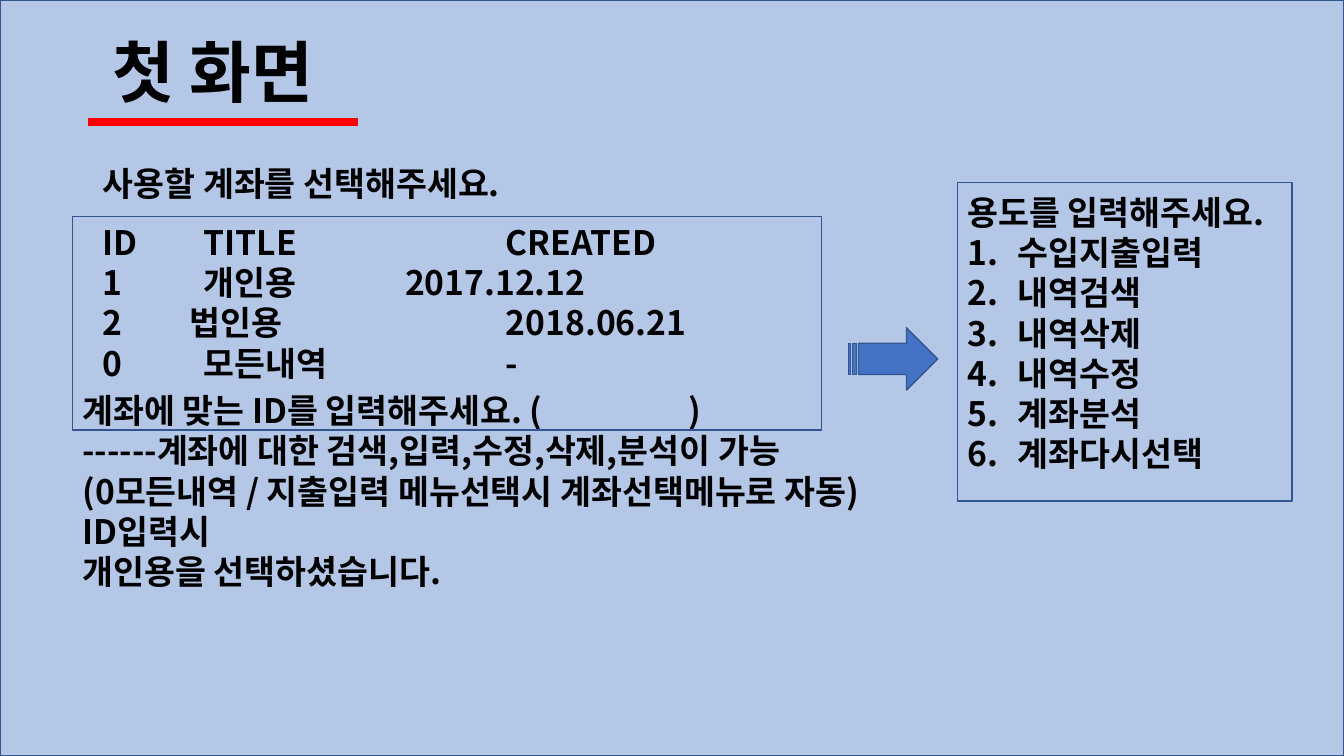
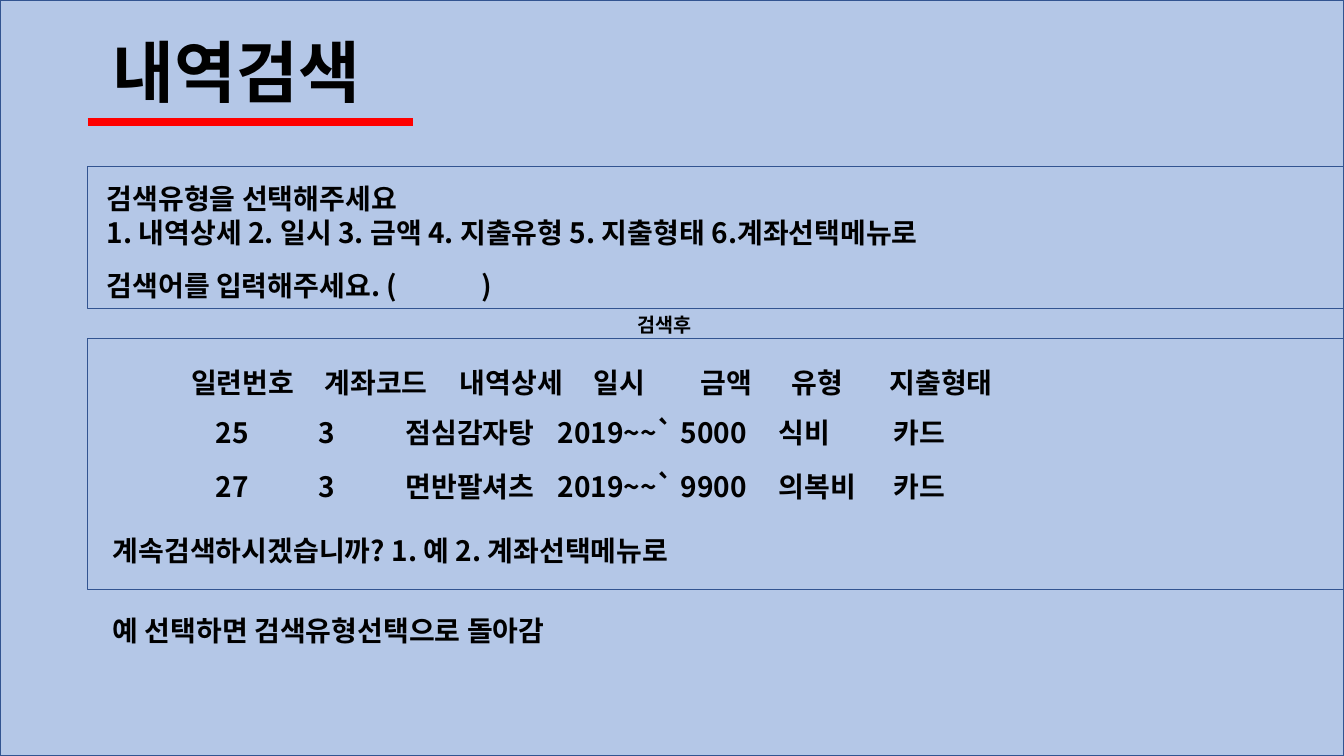
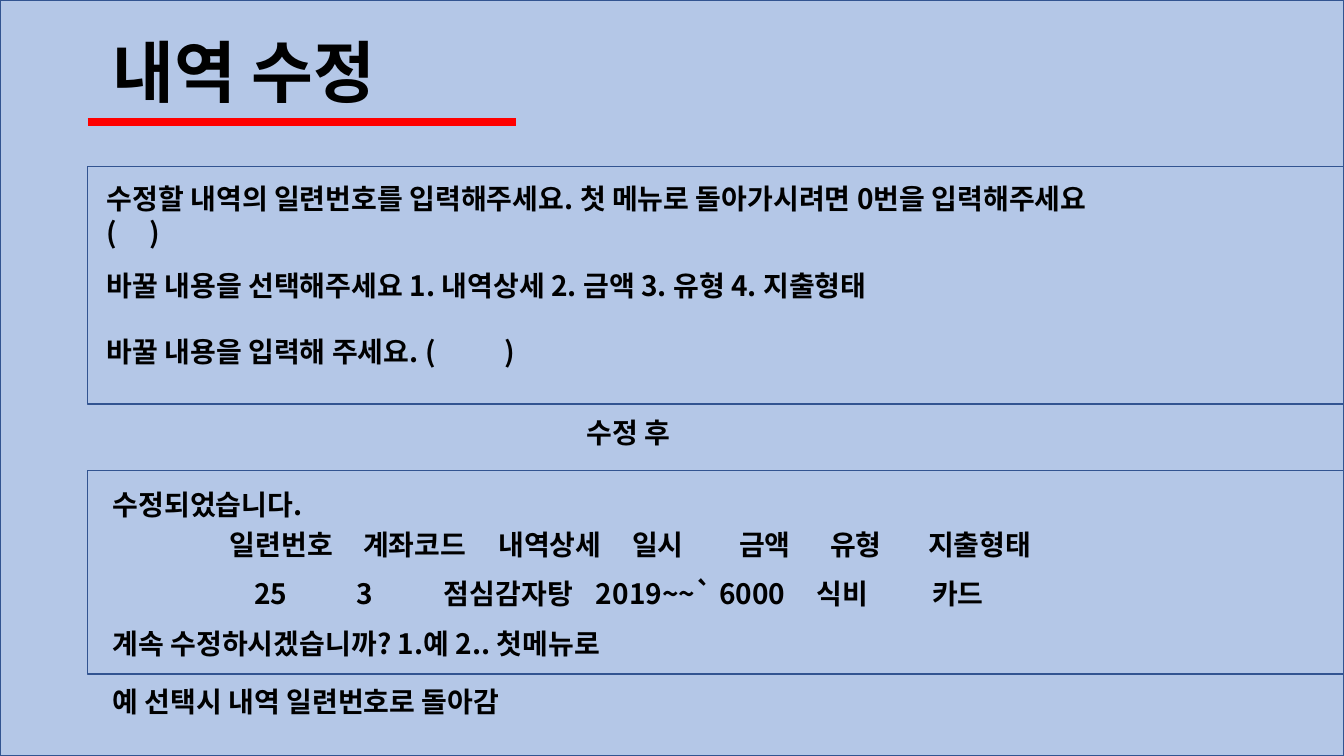
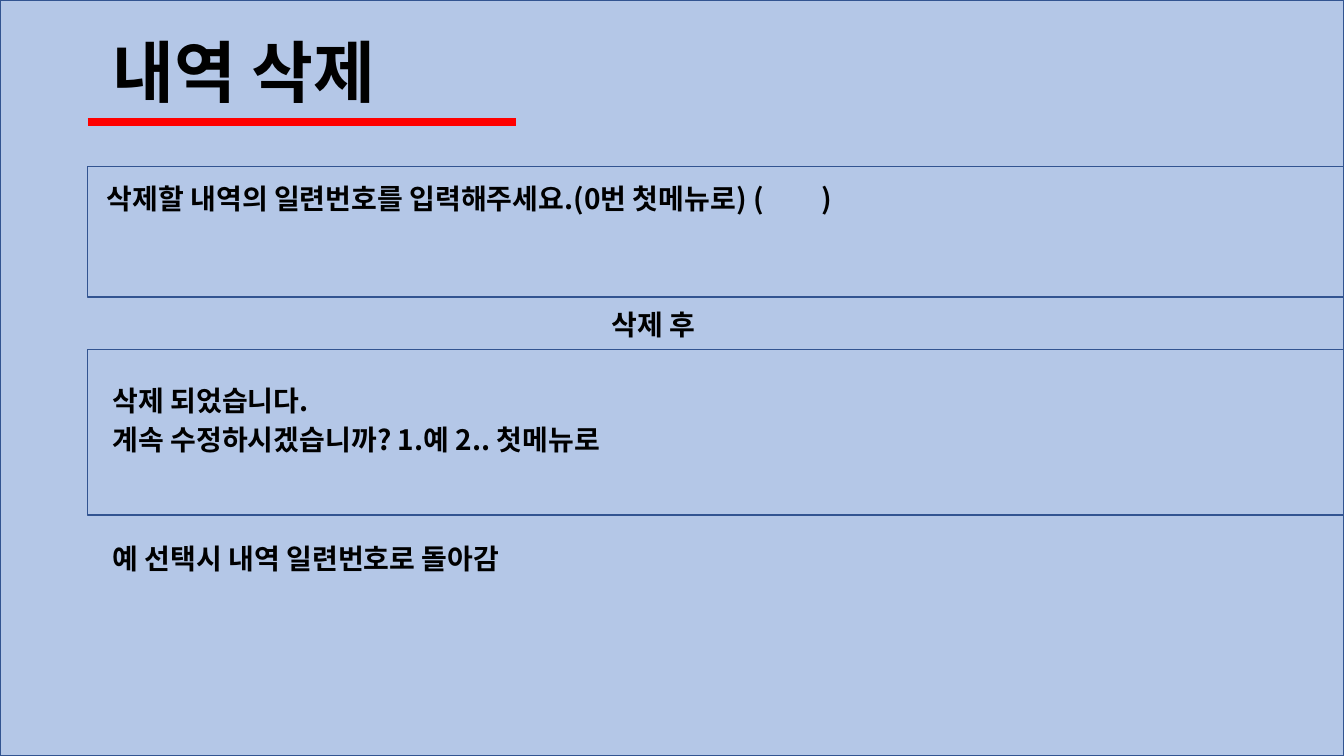
from dataclasses import dataclass

from pptx import Presentation
from pptx import util as u
from pptx.dml import color
from pptx.enum import shapes, text
from pptx.oxml import ns, xmlchemy


@dataclass(frozen=True)
class Theme:
    font: str = "Noto Sans CJK KR"
    ink: str = "000000"
    backdrop: str = "B4C7E7"
    outline: str = "325491"
    accent: str = "FF0000"
    arrow: str = "4472C4"
    title: int = 48
    large: int = 24
    body: int = 20
    small: int = 14
    line_height: float = 1.2
    width: float = 33.87
    height: float = 19.05


def rgb(value):
    return color.RGBColor.from_string(value)


def set_values(target, values):
    for name, value in values.items():
        setattr(target, name, value)


def add_xml(parent, tag, **attributes):
    element = xmlchemy.OxmlElement(tag)
    for name, value in attributes.items():
        element.set(name, str(value))
    parent.append(element)
    return element


class Deck:
    def __init__(self, theme):
        self.theme = theme
        self.presentation = Presentation()
        set_values(self.presentation, {"slide_width": u.Cm(theme.width),
                                       "slide_height": u.Cm(theme.height)})
        self.slide = None

    def start_slide(self, title, underline_end):
        layout = self.presentation.slide_layouts.get_by_name("Title Only")
        self.slide = self.presentation.slides.add_slide(layout)
        self.shape(0, 0, self.theme.width, self.theme.height,
                   fill=self.theme.backdrop)
        self.underline(2.21, underline_end, 3.07)
        placeholder = self.slide.shapes.title
        set_values(placeholder, {"left": u.Cm(2.59), "top": u.Cm(0.64),
                                 "width": u.Cm(22.86), "height": u.Cm(2.31)})
        placeholder.element.getparent().append(placeholder.element)
        self.set_lines(placeholder.text_frame, [title], self.theme.title)

    def shape(self, left, top, width, height, fill=None,
              kind=shapes.MSO_SHAPE.RECTANGLE):
        shape = self.slide.shapes.add_shape(
            kind, u.Cm(left), u.Cm(top), u.Cm(width), u.Cm(height))
        shape.shadow.inherit = False
        if fill:
            shape.fill.solid()
            shape.fill.fore_color.rgb = rgb(fill)
        else:
            shape.fill.background()
        shape.line.color.rgb = rgb(self.theme.outline)
        shape.line.width = u.Pt(1)

    def panel(self, top, height):
        self.shape(2.21, top, self.theme.width - 2.21, height)

    def underline(self, start, end, top):
        line = self.slide.shapes.add_connector(
            shapes.MSO_CONNECTOR.STRAIGHT,
            u.Cm(start), u.Cm(top), u.Cm(end), u.Cm(top))
        line.line.color.rgb = rgb(self.theme.accent)
        line.line.width = u.Pt(6)
        add_xml(line.element.find(ns.qn("p:spPr")), "a:effectLst")

    def text(self, left, top, lines, size=None, width=28.3, numbered_from=None):
        size = size or self.theme.body
        height = 0.25 + len(lines) * size * self.theme.line_height * 2.54 / 72
        box = self.slide.shapes.add_textbox(
            u.Cm(left), u.Cm(top), u.Cm(width), u.Cm(height))
        self.set_lines(box.text_frame, lines, size, numbered_from)

    def set_lines(self, frame, lines, size, numbered_from=None):
        set_values(frame, {"word_wrap": True,
                           "auto_size": text.MSO_AUTO_SIZE.NONE,
                           "vertical_anchor": text.MSO_ANCHOR.TOP})
        for index, line in enumerate(lines):
            content, *stops = (line,) if isinstance(line, str) else line
            paragraph = frame.add_paragraph() if index else frame.paragraphs[0]
            set_values(paragraph, {
                "alignment": text.PP_ALIGN.LEFT,
                "line_spacing": u.Pt(size * self.theme.line_height)})
            run = paragraph.add_run()
            run.text = content
            set_values(run.font, {"size": u.Pt(size), "bold": True,
                                  "name": self.theme.font})
            run.font.color.rgb = rgb(self.theme.ink)
            add_xml(run.font._element, "a:ea", typeface=self.theme.font)
            properties = paragraph._p.get_or_add_pPr()
            if numbered_from is not None and index >= numbered_from:
                properties.set("marL", str(u.Cm(1.27)))
                properties.set("indent", str(-u.Cm(1.27)))
                add_xml(properties, "a:buAutoNum", type="arabicPeriod")
            if stops:
                tab_list = add_xml(properties, "a:tabLst")
                for stop in stops:
                    add_xml(tab_list, "a:tab", pos=u.Cm(stop), algn="l")

    def records(self, left, top, rows):
        heading = "\t".join(["일련번호", "계좌코드", "내역상세", "일시",
                             "금액", "유형", "지출형태"])
        self.text(left, top, [(heading, 3.36, 6.77, 10.14, 12.84, 15.13, 17.6)])
        for row_top, row in rows:
            content = "".join("\t" + value for value in row)
            self.text(left, row_top, [(content, 0.62, 3.2, 5.4, 9.23, 14.8, 17.7)])


theme = Theme()
deck = Deck(theme)

deck.start_slide("첫 화면", 9.02)
deck.text(2.34, 3.99, ["사용할 계좌를 선택해주세요."], theme.large, 21.3)
deck.text(2.34, 5.46, [
    ("ID\tTITLE\tCREATED", 2.54, 10.16),
    ("1\t개인용\t2017.12.12", 2.54, 7.62),
    ("2\t법인용\t2018.06.21", 2.18, 10.16),
    ("0\t모든내역\t-", 2.54, 10.16),
], theme.large, 22.4)
deck.text(1.83, 9.7, [
    ("계좌에 맞는 ID를 입력해주세요. (\t)", 15.27),
    "------계좌에 대한 검색,입력,수정,삭제,분석이 가능",
    "(0모든내역 / 지출입력 메뉴선택시 계좌선택메뉴로 자동)",
    "ID입력시",
    "개인용을 선택하셨습니다.",
], theme.large)
deck.shape(1.83, 5.46, 18.87, 5.38)
deck.shape(24.13, 4.6, 8.43, 8.03)
deck.text(24.13, 4.7, ["용도를 입력해주세요.", "수입지출입력", "내역검색", "내역삭제",
                       "내역수정", "계좌분석", "계좌다시선택"],
          theme.large, 9.2, numbered_from=1)
deck.shape(21.39, 8.26, 2.24, 1.57, theme.arrow,
           shapes.MSO_SHAPE.STRIPED_RIGHT_ARROW)

deck.start_slide("내역검색", 10.41)
deck.panel(4.19, 3.58)
deck.text(2.44, 4.45, [
    "검색유형을 선택해주세요",
    "1. 내역상세 2. 일시 3. 금액 4. 지출유형 5. 지출형태 6.계좌선택메뉴로",
])
deck.text(2.44, 6.65, [("검색어를 입력해주세요. (\t)", 9.45)])
deck.text(15.82, 7.77, ["검색후"], theme.small, 5)
deck.panel(8.53, 6.32)
deck.records(4.57, 9.09, [
    (10.34, ["25", "3", "점심감자탕", "2019~~` 5000", "식비", "카드"]),
    (11.71, ["27", "3", "면반팔셔츠", "2019~~` 9900", "의복비", "카드"]),
])
deck.text(2.59, 13.31, ["계속검색하시겠습니까? 1. 예 2. 계좌선택메뉴로"])
deck.text(2.59, 15.34, ["예 선택하면 검색유형선택으로 돌아감"])

deck.start_slide("내역 수정", 13)
deck.panel(4.19, 5.99)
deck.text(2.44, 4.45, [
    "수정할 내역의 일련번호를 입력해주세요. 첫 메뉴로 돌아가시려면 0번을 입력해주세요",
    ("(\t)", 1.09),
])
deck.text(2.44, 6.65, ["바꿀 내용을 선택해주세요 1. 내역상세 2. 금액 3. 유형 4. 지출형태"])
deck.text(2.44, 8.31, [("바꿀 내용을 입력해 주세요. (\t)", 10.03)])
deck.text(14.54, 10.34, ["수정 후"], width=5)
deck.panel(11.86, 5.13)
deck.text(2.59, 12.17, ["수정되었습니다."])
deck.records(5.54, 13.16, [
    (14.4, ["25", "3", "점심감자탕", "2019~~` 6000", "식비", "카드"]),
])
deck.text(2.59, 15.65, ["계속 수정하시겠습니까? 1.예 2.. 첫메뉴로"])
deck.text(2.59, 17.12, ["예 선택시 내역 일련번호로 돌아감"])

deck.start_slide("내역 삭제", 13)
deck.panel(4.19, 3.3)
deck.text(2.44, 4.45, [("삭제할 내역의 일련번호를 입력해주세요.(0번 첫메뉴로) (\t)", 18.02)])
deck.text(15.17, 7.62, ["삭제 후"], width=5)
deck.panel(8.81, 4.17)
deck.text(2.59, 9.55, ["삭제 되었습니다."])
deck.text(2.59, 10.52, ["계속 수정하시겠습니까? 1.예 2.. 첫메뉴로"])
deck.text(2.59, 13.51, ["예 선택시 내역 일련번호로 돌아감"])

deck.presentation.save("out.pptx")
